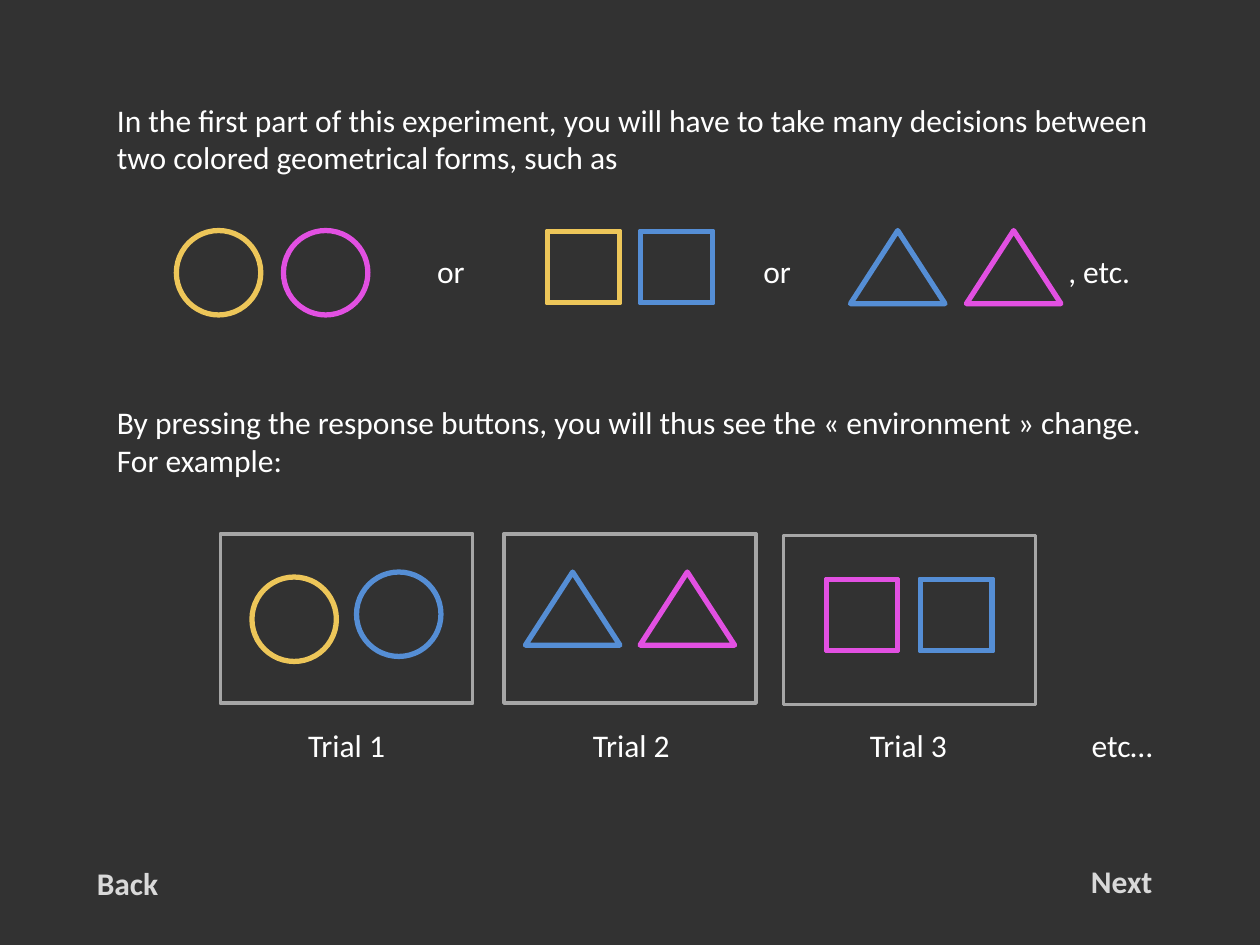
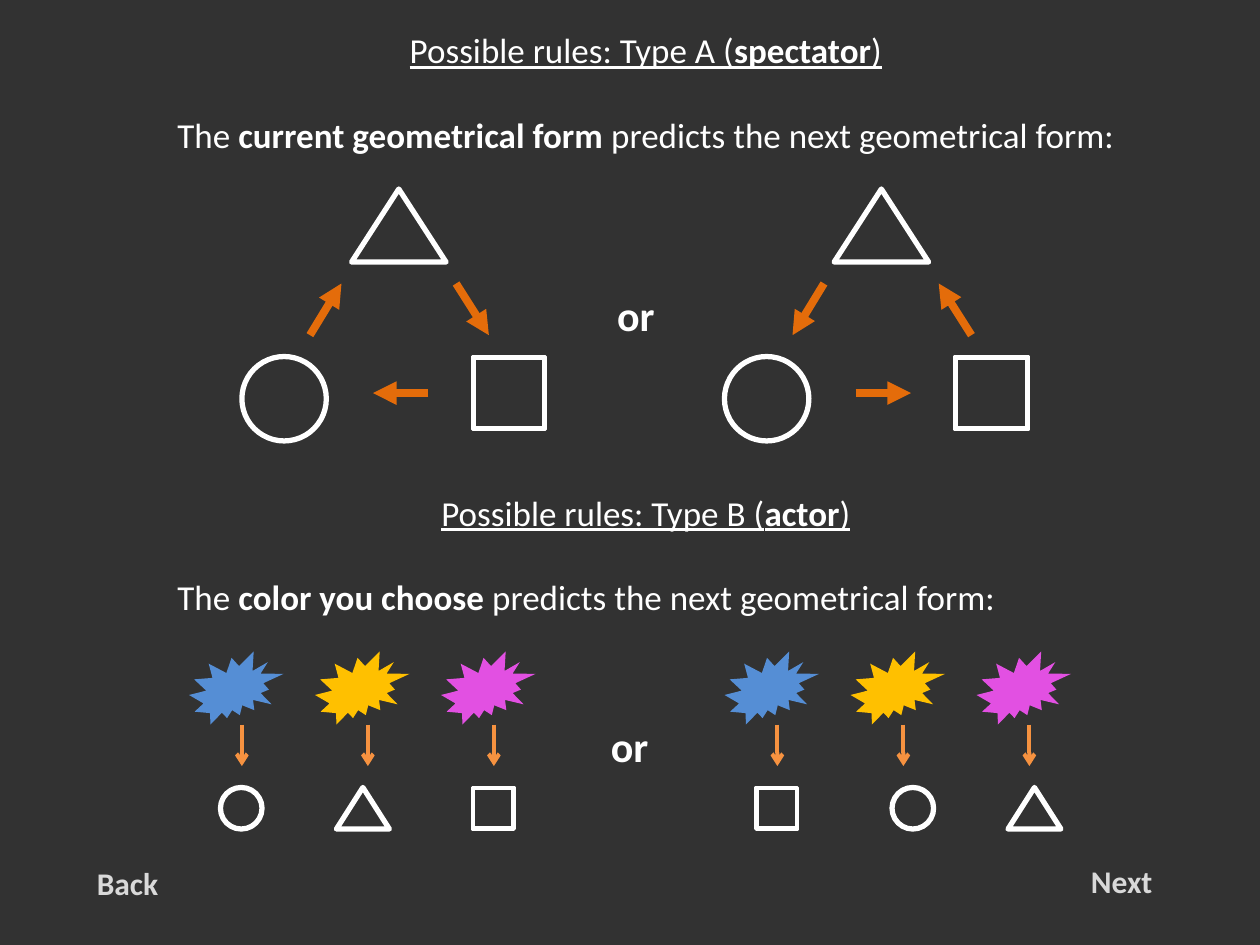
from dataclasses import dataclass

from pptx import Presentation
from pptx import util as u
from pptx.dml.color import RGBColor
from pptx.enum import shapes, text
from pptx.oxml import parse_xml
from pptx.oxml.ns import nsdecls, qn

KIND = shapes.MSO_SHAPE
LEFT, MID = text.PP_ALIGN.LEFT, text.PP_ALIGN.CENTER


@dataclass(frozen=True)
class Theme:
    font: str = "Calibri"
    back: str = "323232"
    white: str = "FFFFFF"
    pale: str = "D9D9D9"
    grey: str = "A6A6A6"
    gold: str = "EDC659"
    amber: str = "FFC000"
    pink: str = "E250E2"
    blue: str = "558ED5"
    rust: str = "E46C0A"
    orange: str = "F69240"
    body: int = 18
    head: int = 20
    large: int = 24


T = Theme()

FORMS = {
    "circle": (KIND.OVAL, 0.67, 0.67, 3),
    "square": (KIND.FRAME, 0.58, 0.58, 2),
    "triangle": (KIND.ISOSCELES_TRIANGLE, 0.75, 0.58, 3),
}
SMALL = {"circle": (0.33, 0.33), "square": (0.33, 0.33), "triangle": (0.42, 0.33)}


def rgb(code):
    return RGBColor.from_string(code)


def apply(target, values):
    for name, value in values.items():
        setattr(target, name, value)


def write(slide, lines, x, y, w, h=0.4, size=T.body, color=T.white,
          align=LEFT, wrap=False, bold=False, under=False):
    frame = slide.shapes.add_textbox(*map(u.Inches, (x, y, w, h))).text_frame
    apply(frame, {"word_wrap": wrap, "auto_size": text.MSO_AUTO_SIZE.SHAPE_TO_FIT_TEXT})
    for i, line in enumerate(lines):
        para = frame.add_paragraph() if i else frame.paragraphs[0]
        para.alignment = align
        for j, part in enumerate(line.split("*")):
            run = para.add_run()
            run.text = part
            apply(run.font, {"name": T.font, "size": u.Pt(size), "underline": under,
                             "bold": bold or j % 2 == 1})
            run.font.color.rgb = rgb(color)


def draw(slide, kind, x, y, w, h, fill=None, line=None, width=1, rim=None):
    shape = slide.shapes.add_shape(kind, *map(u.Inches, (x, y, w, h)))
    shape.shadow.inherit = False
    if rim is not None:
        shape.adjustments[0] = rim
    if fill:
        shape.fill.solid()
        shape.fill.fore_color.rgb = rgb(fill)
    else:
        shape.fill.background()
    if line:
        shape.line.color.rgb = rgb(line)
        shape.line.width = u.Pt(width)
    else:
        shape.line.fill.background()


def form(slide, name, x, y, color=T.white, small=False):
    kind, w, h, width = FORMS[name]
    if small:
        w, h = SMALL[name]
    rim = 0.022 if name == "square" else None
    draw(slide, kind, x, y, w, h, line=color, width=width, rim=rim)


def arrow(slide, start, end, color, width, tip):
    link = slide.shapes.add_connector(
        shapes.MSO_CONNECTOR.STRAIGHT, *map(u.Inches, (*start, *end)))
    link.line.color.rgb = rgb(color)
    link.line.width = u.Pt(width)
    props = link._element.spPr
    props.find(qn("a:ln")).append(parse_xml(f'<a:tailEnd {nsdecls("a")} type="{tip}"/>'))
    props.append(parse_xml(f'<a:effectLst {nsdecls("a")}/>'))


def page(deck):
    slide = deck.slides.add_slide(deck.slide_layouts[6])
    slide.background.fill.solid()
    slide.background.fill.fore_color.rgb = rgb(T.back)
    for word, x, y in (("Next", 8.56, 6.79), ("Back", 0.67, 6.81)):
        write(slide, [word], x, y, 0.69, color=T.pale, bold=True)
    return slide


def trial(slide, name, x, y, mark, mid):
    draw(slide, KIND.FRAME, x, y, 2, 1.34, fill="404040", line=T.grey, width=2, rim=0)
    write(slide, [name], mid, 5.71, 0.82, align=MID)
    for kind, left, top, color in mark:
        form(slide, kind, left, top, color)


def choices(deck):
    slide = page(deck)
    write(slide, ["In the first part of this experiment, you will have to take many "
                  "decisions between two colored geometrical forms, such as"],
          0.83, 0.75, 8.5, 0.7, wrap=True)
    write(slide, ["By pressing the response buttons, you will thus see the "
                  "« environment » change.", "For example:"],
          0.83, 3.15, 8.5, 0.7, wrap=True)
    for word, x, w in (("or", 3.37, 0.42), ("or", 5.96, 0.42), (", etc.", 8.38, 0.69)):
        write(slide, [word], x, 1.95, w)
    for kind, x, color in (
        ("circle", 1.4, T.gold), ("circle", 2.25, T.pink),
        ("square", 4.34, T.gold), ("square", 5.08, T.blue),
        ("triangle", 6.75, T.blue), ("triangle", 7.67, T.pink),
    ):
        form(slide, kind, x, 1.83, color)
    trial(slide, "Trial 1", 1.75, 4.24,
          [("circle", 2, 4.58, T.gold), ("circle", 2.83, 4.54, T.blue)], 2.34)
    trial(slide, "Trial 2", 4, 4.24,
          [("triangle", 4.17, 4.54, T.blue), ("triangle", 5.08, 4.54, T.pink)], 4.6)
    trial(slide, "Trial 3", 6.22, 4.25,
          [("square", 6.55, 4.59, T.pink), ("square", 7.3, 4.59, T.blue)], 6.8)
    write(slide, ["etc…"], 8.56, 5.71, 0.69, align=MID)


def cycle(slide, x, flip):
    form(slide, "circle", x, 2.83)
    form(slide, "square", x + 1.83, 2.83)
    form(slide, "triangle", x + 0.87, 1.5)
    for ends in (((0.54, 2.66), (0.79, 2.25)),
                 ((1.7, 2.25), (1.96, 2.66)),
                 ((1.48, 3.12), (1.04, 3.12))):
        start, end = [(x + dx, y) for dx, y in (ends[::-1] if flip else ends)]
        arrow(slide, start, end, T.rust, 4.5, "triangle")


def bursts(slide, x, goals):
    for i, (color, (kind, dx)) in enumerate(zip((T.blue, T.amber, T.pink), goals)):
        left = x + i
        draw(slide, KIND.EXPLOSION2, left, 5.17, 0.75, 0.58, fill=color)
        arrow(slide, (left + 0.42, 5.75), (left + 0.42, 6.08), T.orange, 2.25, "arrow")
        form(slide, kind, x + dx, 6.25, small=True)


def rules(deck):
    slide = page(deck)
    for line, y in (("Possible rules: Type A (*spectator*)", 0.18),
                    ("Possible rules: Type B (*actor*)", 3.85)):
        write(slide, [line], 0.5, y, 9.25, size=T.head, align=MID, wrap=True, under=True)
    tail = "predicts the next geometrical form:"
    write(slide, [f"The *current geometrical form *{tail}"], 0.5, 0.85, 9.25,
          size=T.head, align=MID, wrap=True)
    write(slide, [f"The *color you choose *{tail}"], 1.31, 4.52, 8.44,
          size=T.head, wrap=True)
    cycle(slide, 1.92, False)
    cycle(slide, 5.75, True)
    bursts(slide, 1.5, [("circle", 0.25), ("triangle", 1.17), ("square", 2.25)])
    bursts(slide, 5.75, [("square", 0.25), ("circle", 1.33), ("triangle", 2.25)])
    for x, y in ((4.8, 2.25), (4.75, 5.67)):
        write(slide, ["or"], x, y, 0.5, 0.5, size=T.large, bold=True)


def main():
    deck = Presentation()
    apply(deck, {"slide_width": u.Inches(10), "slide_height": u.Inches(7.5)})
    choices(deck)
    rules(deck)
    deck.save("out.pptx")


if __name__ == "__main__":
    main()
